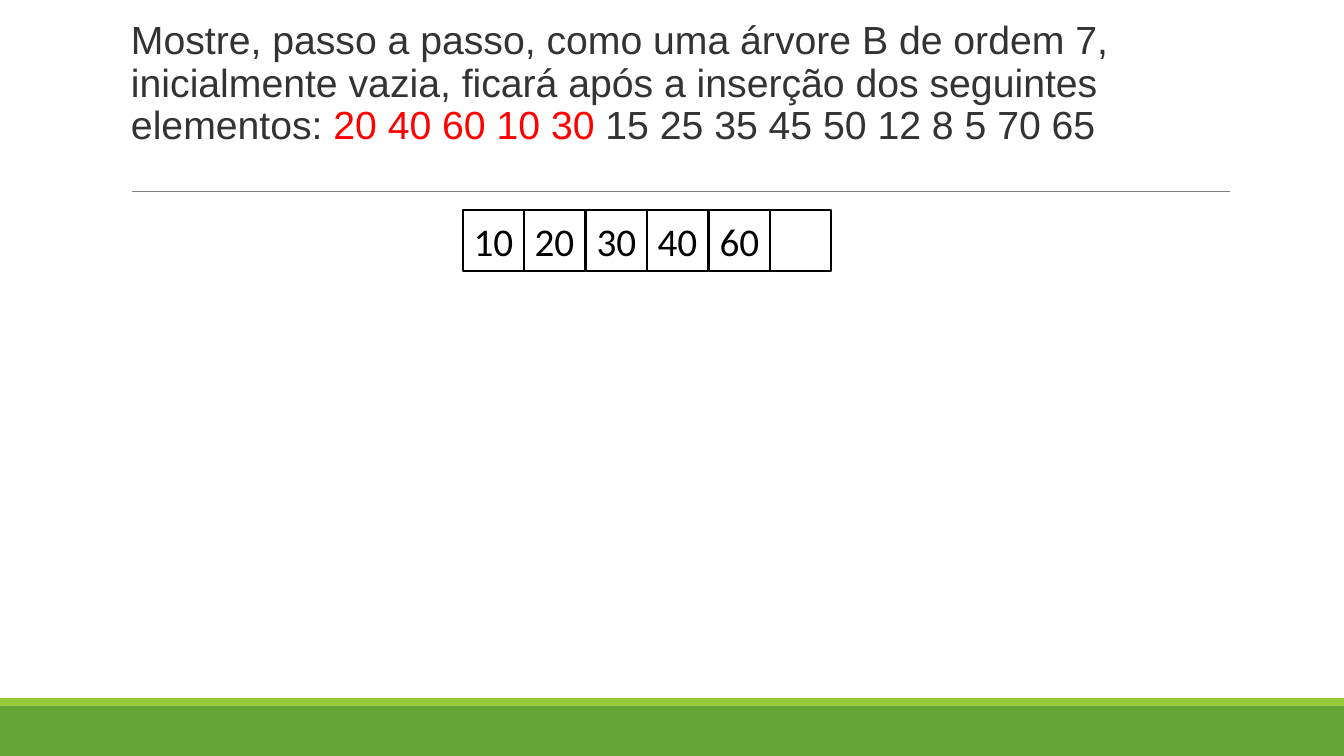
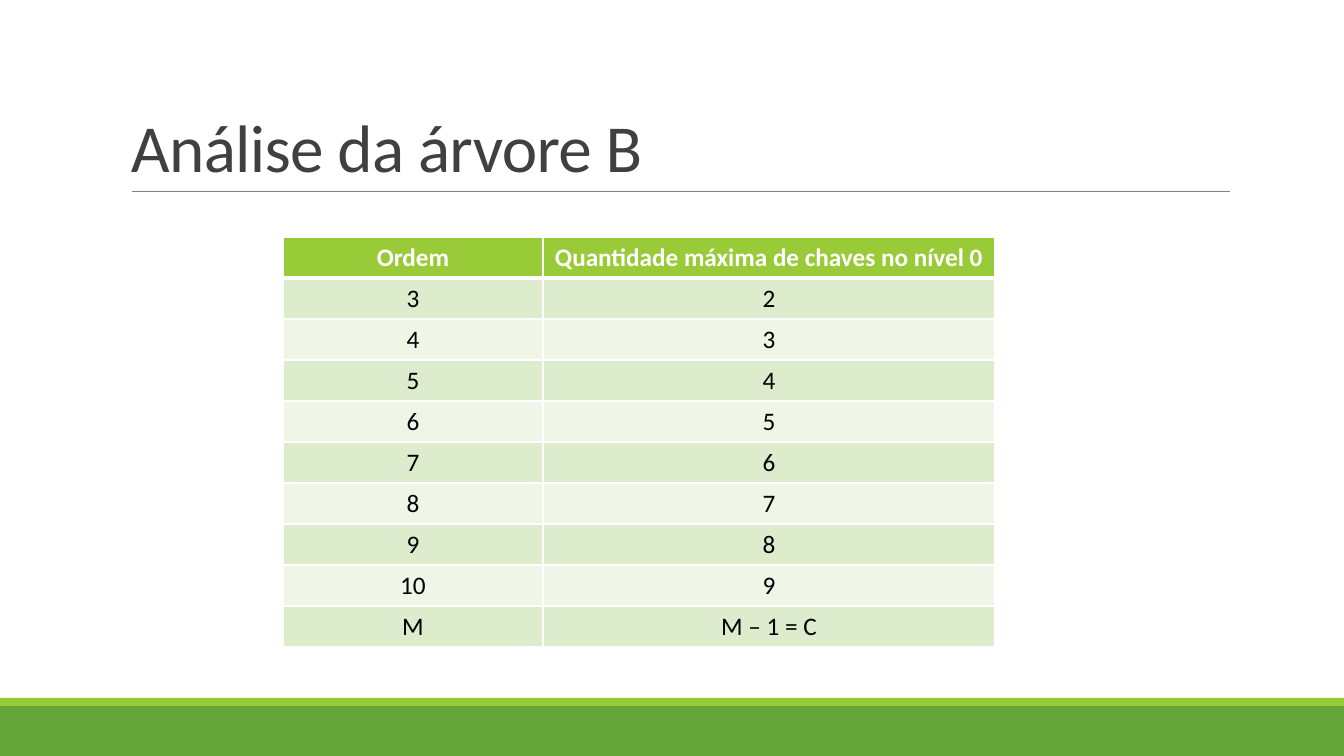
from lxml.etree import SubElement
from pptx import Presentation
from pptx.dml.color import RGBColor
from pptx.enum.shapes import MSO_CONNECTOR, MSO_SHAPE
from pptx.enum.text import MSO_ANCHOR, PP_ALIGN
from pptx.oxml.ns import qn
from pptx.util import Emu, Pt

PX_PER_INCH = 100.8
WIDTH, HEIGHT = 1344, 756
WHITE, BLACK, RED = "FFFFFF", "000000", "FF0000"
GREEN, LIME, RULE_GRAY = "63A537", "99CB38", "808080"
TITLE_GRAY, PROMPT_GRAY = "404040", "333333"
ROW_TINTS = ("DEECCE", "EFF6E8")


def px(length):
    """Turn pixels into EMU."""
    return Emu(round(length * 914400 / PX_PER_INCH))


def rgb(code):
    """Turn a hex string into a colour."""
    return RGBColor.from_string(code)


def write(frame, *runs, size, color=BLACK, font="Calibri", bold=False,
          align=PP_ALIGN.LEFT, line_spacing=None, tracking=None):
    """Write one paragraph of runs, each a string or a (string, colour) pair."""
    paragraph = frame.paragraphs[0]
    paragraph.alignment = align
    if line_spacing:
        paragraph.line_spacing = line_spacing
    for part in runs:
        words, shade = (part, color) if isinstance(part, str) else part
        run = paragraph.add_run()
        run.text = words
        run.font.name = font
        run.font.size = Pt(size)
        run.font.bold = bold
        run.font.color.rgb = rgb(shade)
        if tracking:
            run._r.get_or_add_rPr().set("spc", str(round(tracking * 100)))


def border(cell, **widths):
    """Draw white cell edges, with widths in points keyed by L, R, T and B."""
    properties = cell._tc.get_or_add_tcPr()
    for edge, width in widths.items():
        line = SubElement(properties, qn(f"a:ln{edge}"), w=str(Pt(width)))
        fill = SubElement(line, qn("a:solidFill"))
        SubElement(fill, qn("a:srgbClr"), val=WHITE)


class Deck:
    """Hold the shared style and the current slide."""

    def __init__(self):
        """Start an empty widescreen presentation."""
        self.presentation = Presentation()
        self.presentation.slide_width = px(WIDTH)
        self.presentation.slide_height = px(HEIGHT)
        self.slide = None

    def new_slide(self):
        """Add a blank slide with the footer bands and the title rule."""
        blank = self.presentation.slide_layouts[6]
        self.slide = self.presentation.slides.add_slide(blank)
        self.box(0, 706, WIDTH, 50, fill=GREEN)
        self.box(0, 698, WIDTH, 8, fill=LIME)
        self.rule(132, 1230, 191)

    def box(self, left, top, width, height, fill, outline=None):
        """Add a rectangle, outlined if a colour is given."""
        shape = self.slide.shapes.add_shape(
            MSO_SHAPE.RECTANGLE, px(left), px(top), px(width), px(height))
        shape.shadow.inherit = False
        shape.fill.solid()
        shape.fill.fore_color.rgb = rgb(fill)
        if outline:
            shape.line.color.rgb = rgb(outline)
            shape.line.width = Pt(1.25)
        else:
            shape.line.fill.background()
        return shape

    def rule(self, start, end, top):
        """Add the thin horizontal line under the heading."""
        line = self.slide.shapes.add_connector(
            MSO_CONNECTOR.STRAIGHT, px(start), px(top), px(end), px(top))
        line.line.color.rgb = rgb(RULE_GRAY)
        line.line.width = Pt(0.5)
        SubElement(line._element.spPr, qn("a:effectLst"))

    def text(self, left, top, width, height, *runs,
             anchor=MSO_ANCHOR.TOP, inset=10, **style):
        """Add a wrapping text box."""
        shape = self.slide.shapes.add_textbox(
            px(left), px(top), px(width), px(height))
        frame = shape.text_frame
        frame.word_wrap = True
        frame.vertical_anchor = anchor
        frame.margin_left = frame.margin_right = px(inset)
        write(frame, *runs, **style)

    def title(self, words):
        """Add a large heading resting on the rule."""
        self.text(121, 31, 1109, 160, words, anchor=MSO_ANCHOR.BOTTOM, size=48,
                  color=TITLE_GRAY, line_spacing=0.85, tracking=-0.5)

    def prompt(self, *runs):
        """Add the exercise statement above the rule."""
        self.text(131, 16, 1099, 143, *runs, inset=0, size=28, font="Arial",
                  color=PROMPT_GRAY, line_spacing=0.9)

    def node(self, left, top, width, keys, capacity):
        """Add a tree node with one square per key slot."""
        for slot in range(capacity):
            square = self.box(left + width * slot // capacity, top, 61, 61,
                              fill=WHITE, outline=BLACK)
            if slot < len(keys):
                frame = square.text_frame
                frame.vertical_anchor = MSO_ANCHOR.MIDDLE
                write(frame, str(keys[slot]), size=28, align=PP_ALIGN.CENTER)

    def table(self, left, top, column_widths, row_height, rows):
        """Add a banded table whose first row is the header."""
        table = self.slide.shapes.add_table(
            len(rows), len(column_widths), px(left), px(top),
            px(sum(column_widths)), px(row_height * len(rows))).table
        for column, width in zip(table.columns, column_widths):
            column.width = px(width)
        for index, values in enumerate(rows):
            header = index == 0
            for cell, value in zip(table.rows[index].cells, values):
                border(cell, L=1, R=1, T=3 if index == 1 else 1,
                       B=3 if header else 1)
                cell.fill.solid()
                cell.fill.fore_color.rgb = rgb(
                    LIME if header else ROW_TINTS[(index - 1) % 2])
                write(cell.text_frame, value, size=18, bold=header,
                      color=WHITE if header else BLACK, align=PP_ALIGN.CENTER)


def main():
    """Build and save both slides."""
    deck = Deck()

    deck.new_slide()
    deck.prompt(
        "Mostre, passo a passo, como uma árvore B de ordem 7, inicialmente "
        "vazia, ficará após a inserção dos seguintes elementos: ",
        ("20 40 60 10 30", RED),
        " 15 25 35 45 50 12 8 5 70 65")
    deck.node(463, 210, 369, keys=(10, 20, 30, 40, 60), capacity=6)

    deck.new_slide()
    deck.title("Análise da árvore B")
    header = ("Ordem", "Quantidade máxima de chaves no nível 0")
    orders = [(str(order), str(order - 1)) for order in range(3, 11)]
    deck.table(283, 237, (260, 452), 41,
               [header, *orders, ("M", "M – 1 = C")])

    deck.presentation.save("out.pptx")


if __name__ == "__main__":
    main()
